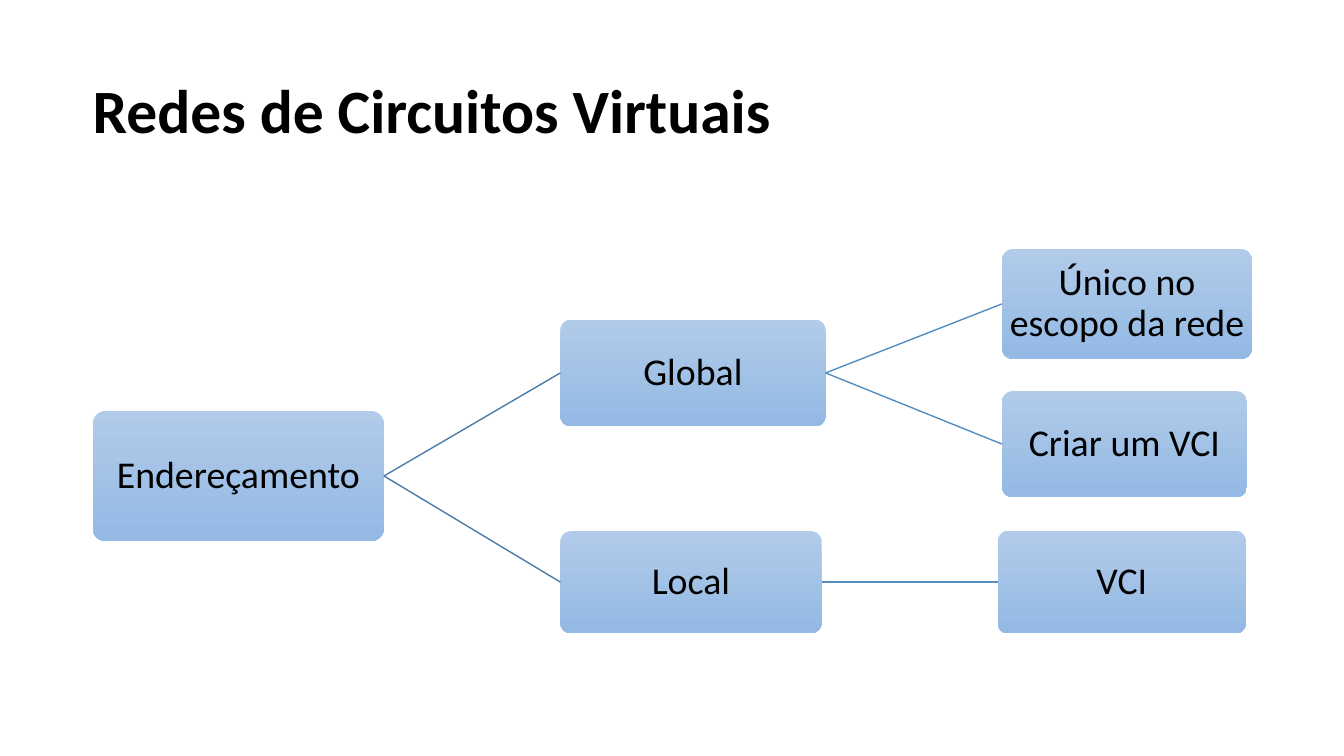
from dataclasses import dataclass

from lxml import etree
from pptx import Presentation
from pptx.dml.color import RGBColor
from pptx.enum.shapes import MSO_CONNECTOR as Connector, MSO_SHAPE as Shape
from pptx.enum.text import MSO_ANCHOR as Anchor, PP_ALIGN as Align
from pptx.oxml.ns import qn
from pptx.util import Pt


@dataclass(frozen=True)
class Theme:
    font: str = "Calibri"
    title_size: int = 44
    node_size: int = 27
    text: str = "000000"
    node_top: str = "B1CBE9"
    node_bottom: str = "93B9E4"
    first_branch: str = "497CAB"
    second_branch: str = "538DC1"
    line_width: float = 1


@dataclass(frozen=True)
class Box:
    left: float
    top: float
    width: float
    height: float


THEME = Theme()
TITLE_BOX = Box(59, 28.8, 828, 104.4)
TREE_BOX = Box(66.2, 177.8, 828, 275)

# Label: left, vertical centre, width, height, all relative to the tree box
NODES = {
    "Endereçamento": (0, 162.2, 208.1, 92.9),
    "Global": (334.1, 88.6, 189.4, 76.3),
    "Local": (334.1, 238, 186.5, 72.7),
    "Único no escopo da rede": (649.5, 39.3, 178.6, 78.5),
    "Criar um VCI": (649.5, 139.4, 175, 75.6),
    "VCI": (646.6, 238, 177.1, 73.4),
}
BRANCHES = [
    ("Endereçamento", ("Global", "Local"), THEME.first_branch),
    ("Global", ("Único no escopo da rede", "Criar um VCI"), THEME.second_branch),
    ("Local", ("VCI",), THEME.second_branch),
]


def write_text(shape, text, size, align, bold=False):
    frame = shape.text_frame
    frame.text = text
    frame.word_wrap = True
    frame.vertical_anchor = Anchor.MIDDLE
    paragraph = frame.paragraphs[0]
    paragraph.alignment = align
    paragraph.line_spacing = 0.9
    font = paragraph.runs[0].font
    font.name, font.size, font.bold = THEME.font, Pt(size), bold
    font.color.rgb = RGBColor.from_string(THEME.text)


def add_title(slide, box):
    title = slide.shapes.title
    title.left, title.top = Pt(box.left), Pt(box.top)
    title.width, title.height = Pt(box.width), Pt(box.height)
    write_text(title, "Redes de Circuitos Virtuais", THEME.title_size, Align.LEFT, bold=True)


def add_node(slide, box, label):
    left, middle, width, height = NODES[label]
    node = slide.shapes.add_shape(
        Shape.ROUNDED_RECTANGLE,
        Pt(box.left + left), Pt(box.top + middle - height / 2), Pt(width), Pt(height),
    )
    node.adjustments[0] = 0.1
    node.shadow.inherit = False
    node.line.fill.background()
    node.fill.gradient()
    node.fill.gradient_angle = 270
    for stop, color in zip(node.fill.gradient_stops, (THEME.node_top, THEME.node_bottom)):
        stop.color.rgb = RGBColor.from_string(color)
    frame = node.text_frame
    frame.margin_left = frame.margin_right = frame.margin_top = frame.margin_bottom = Pt(1.3)
    write_text(node, label, THEME.node_size, Align.CENTER)
    return node


def add_branch(slide, parent, child, color):
    branch = slide.shapes.add_connector(Connector.STRAIGHT, 0, 0, 0, 0)
    branch.begin_connect(parent, 3)
    branch.end_connect(child, 1)
    branch.line.color.rgb = RGBColor.from_string(color)
    branch.line.width = Pt(THEME.line_width)
    properties = branch.element.find(qn("p:spPr"))
    etree.SubElement(properties, qn("a:effectLst"))


def add_tree(slide, box):
    nodes = {label: add_node(slide, box, label) for label in NODES}
    for parent, children, color in BRANCHES:
        for child in children:
            add_branch(slide, nodes[parent], nodes[child], color)


def main():
    presentation = Presentation()
    presentation.slide_width, presentation.slide_height = Pt(960), Pt(540)
    slide = presentation.slides.add_slide(presentation.slide_layouts.get_by_name("Title Only"))
    add_title(slide, TITLE_BOX)
    add_tree(slide, TREE_BOX)
    presentation.save("out.pptx")


if __name__ == "__main__":
    main()
